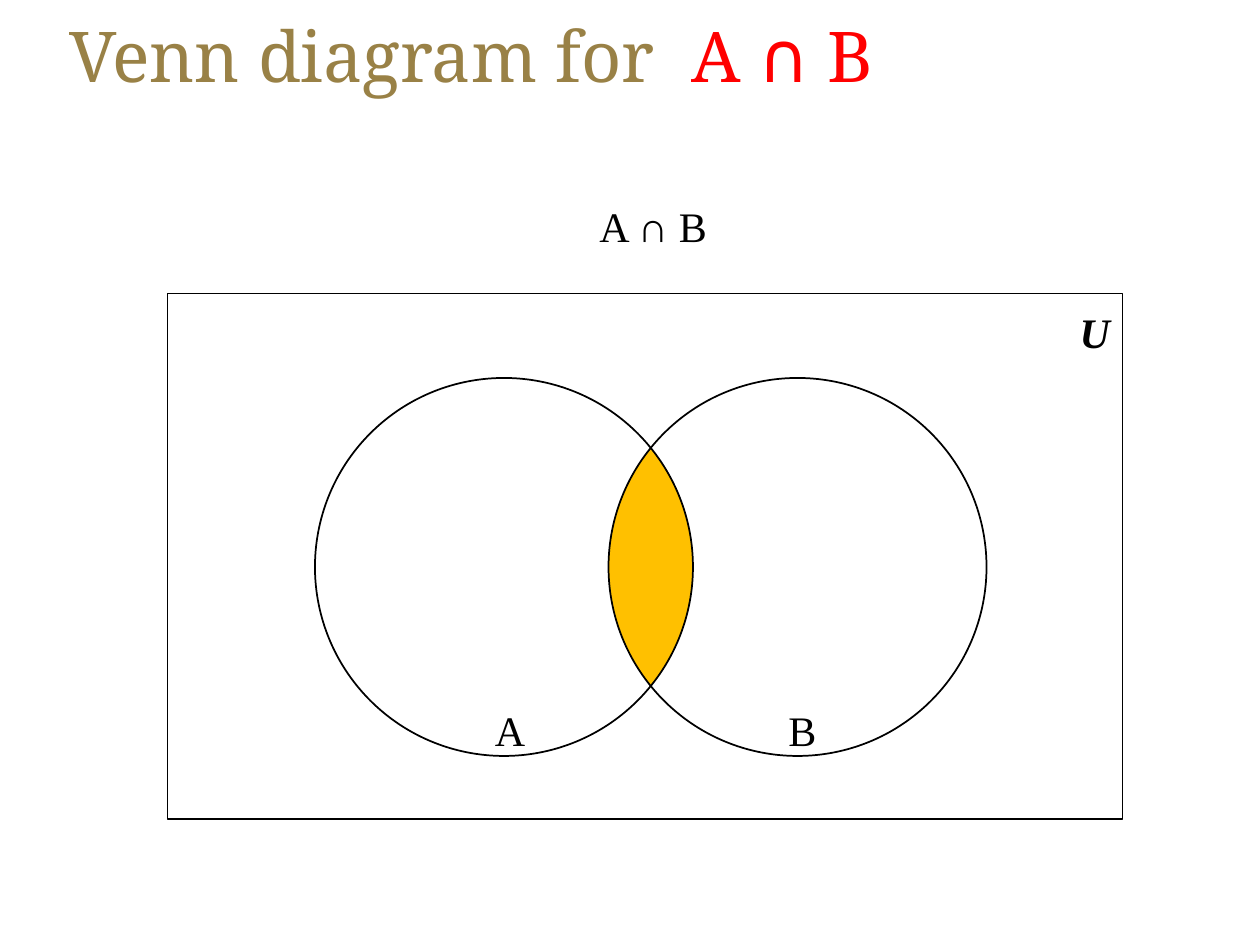
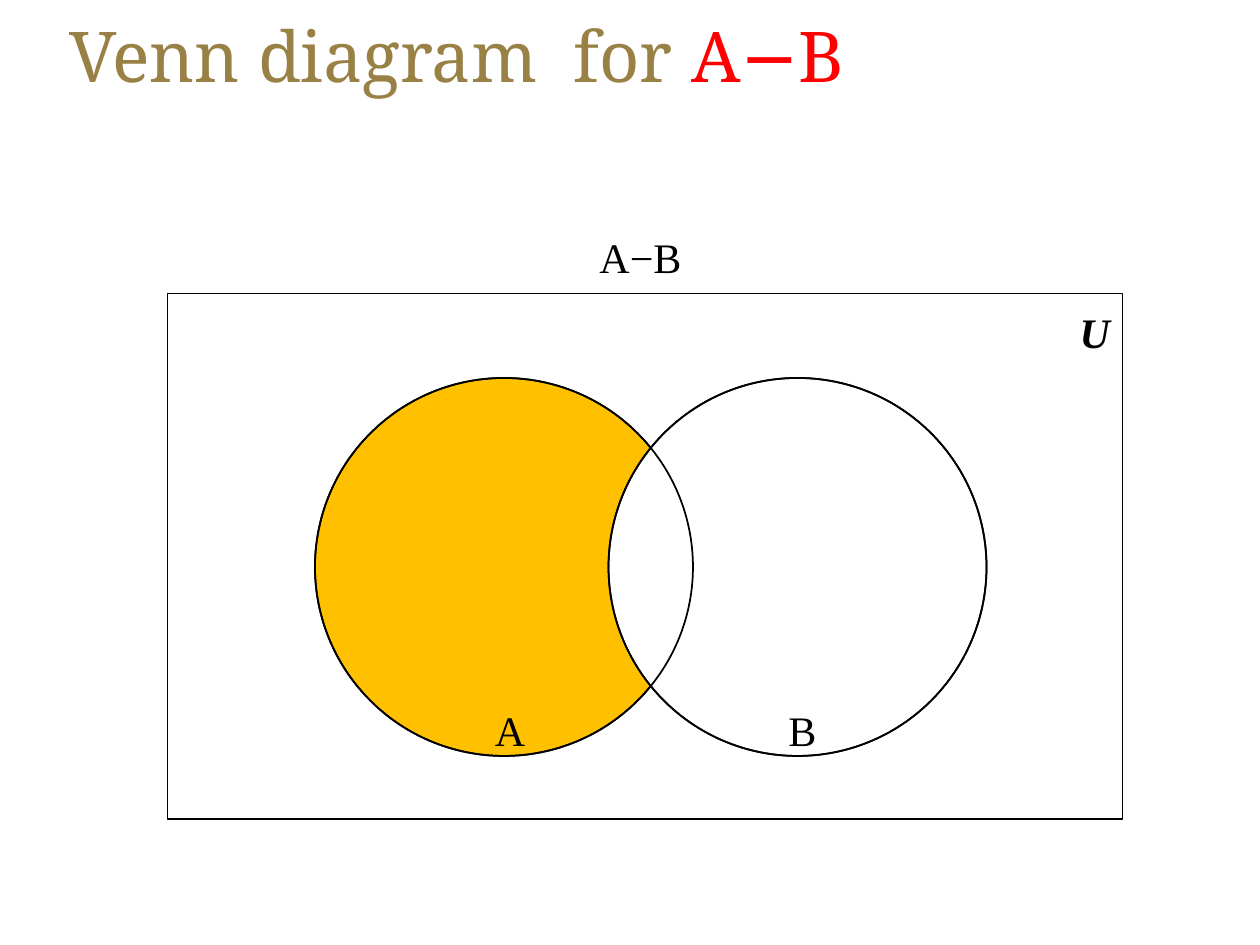
import math

import pptx
import pptx.dml.color
import pptx.enum.shapes
import pptx.enum.text
import pptx.util

Inches = pptx.util.Inches
COLORS = {"title": "998146", "formula": "FF0000", "ink": "000000", "region": "FFC000", "paper": "FFFFFF"}
TITLE_FONT = "Noto Serif"
LABEL_FONT = "Times New Roman"
TITLE_BOX = (0.45, 0.04, 9.25, 0.79)
UNIVERSE_BOX = (1.33, 2.33, 7.58, 4.17)
RADIUS = 1.5
CENTER_Y = 2.17
CENTERS_X = {"A": 2.67, "B": 5.0}
ARC_STEPS = 40


def rgb(name):
    return pptx.dml.color.RGBColor.from_string(COLORS[name])


def add_run(paragraph, text, font, size, color):
    run = paragraph.add_run()
    run.text = text
    run.font.name = font
    run.font.size = pptx.util.Pt(size)
    run.font.color.rgb = rgb(color)
    return run


def add_title(slide, box, lead, formula):
    title = slide.shapes.title
    title.left, title.top, title.width, title.height = map(Inches, box)
    frame = title.text_frame
    frame.auto_size = pptx.enum.text.MSO_AUTO_SIZE.NONE
    frame.vertical_anchor = pptx.enum.text.MSO_ANCHOR.MIDDLE
    paragraph = frame.paragraphs[0]
    paragraph.alignment = pptx.enum.text.PP_ALIGN.LEFT
    add_run(paragraph, lead, TITLE_FONT, 40, "title")
    add_run(paragraph, formula, TITLE_FONT, 40, "formula")


def add_label(slide, left, top, text, width=0.44):
    label = slide.shapes.add_textbox(Inches(left), Inches(top), Inches(width), Inches(0.5))
    frame = label.text_frame
    frame.word_wrap = False
    frame.margin_top = Inches(0.09)
    frame.margin_bottom = 0
    return add_run(frame.paragraphs[0], text, LABEL_FONT, 24, "ink")


def style_shape(shape, fill=None, outlined=True):
    shape.shadow.inherit = False
    if fill:
        shape.fill.solid()
        shape.fill.fore_color.rgb = rgb(fill)
    else:
        shape.fill.background()
    if outlined:
        shape.line.color.rgb = rgb("ink")
        shape.line.width = pptx.util.Pt(1)
    else:
        shape.line.fill.background()


def add_universe(slide, box):
    left, top, width, height = box
    rectangle = slide.shapes.add_shape(pptx.enum.shapes.MSO_SHAPE.RECTANGLE, *map(Inches, box))
    style_shape(rectangle)
    run = add_label(slide, left + width - 0.44, top + 0.01, "U")
    run.font.bold = True
    run.font.italic = True


def add_set_circle(slide, box, name, fill=None):
    left = box[0] + CENTERS_X[name] - RADIUS
    top = box[1] + CENTER_Y - RADIUS
    circle = slide.shapes.add_shape(
        pptx.enum.shapes.MSO_SHAPE.OVAL,
        Inches(left), Inches(top), Inches(2 * RADIUS), Inches(2 * RADIUS),
    )
    style_shape(circle, fill)


def shade_intersection(slide, box):
    half_angle = math.acos((CENTERS_X["B"] - CENTERS_X["A"]) / 2 / RADIUS)
    points = []
    for name, facing in (("A", 0), ("B", math.pi)):
        for step in range(ARC_STEPS + 1):
            angle = facing + half_angle * (2 * step / ARC_STEPS - 1)
            x = box[0] + CENTERS_X[name] + RADIUS * math.cos(angle)
            y = box[1] + CENTER_Y + RADIUS * math.sin(angle)
            points.append((Inches(x), Inches(y)))
    builder = slide.shapes.build_freeform(*points[0])
    builder.add_line_segments(points[1:], close=True)
    style_shape(builder.convert_to_shape(), "region", outlined=False)


def shade_difference(slide, box):
    add_set_circle(slide, box, "A", "region")
    add_set_circle(slide, box, "B", "paper")


def add_venn_slide(presentation, lead, formula, caption_top, caption_width, shade):
    slide = presentation.slides.add_slide(presentation.slide_layouts[5])
    add_title(slide, TITLE_BOX, lead, formula)
    add_universe(slide, UNIVERSE_BOX)
    shade(slide, UNIVERSE_BOX)
    left, top = UNIVERSE_BOX[:2]
    for name, center_x in CENTERS_X.items():
        add_set_circle(slide, UNIVERSE_BOX, name)
        add_label(slide, left + center_x - 0.17, top + 3.17, name)
    add_label(slide, left + 3.33, caption_top, formula, caption_width)


def main():
    presentation = pptx.Presentation()
    presentation.slide_width = Inches(10)
    presentation.slide_height = Inches(7.5)
    add_venn_slide(presentation, "Venn diagram for  ", "A ∩ B", 1.5, 1.07, shade_intersection)
    add_venn_slide(presentation, "Venn diagram  for ", "A−B", 1.75, 0.86, shade_difference)
    presentation.save("out.pptx")


if __name__ == "__main__":
    main()
